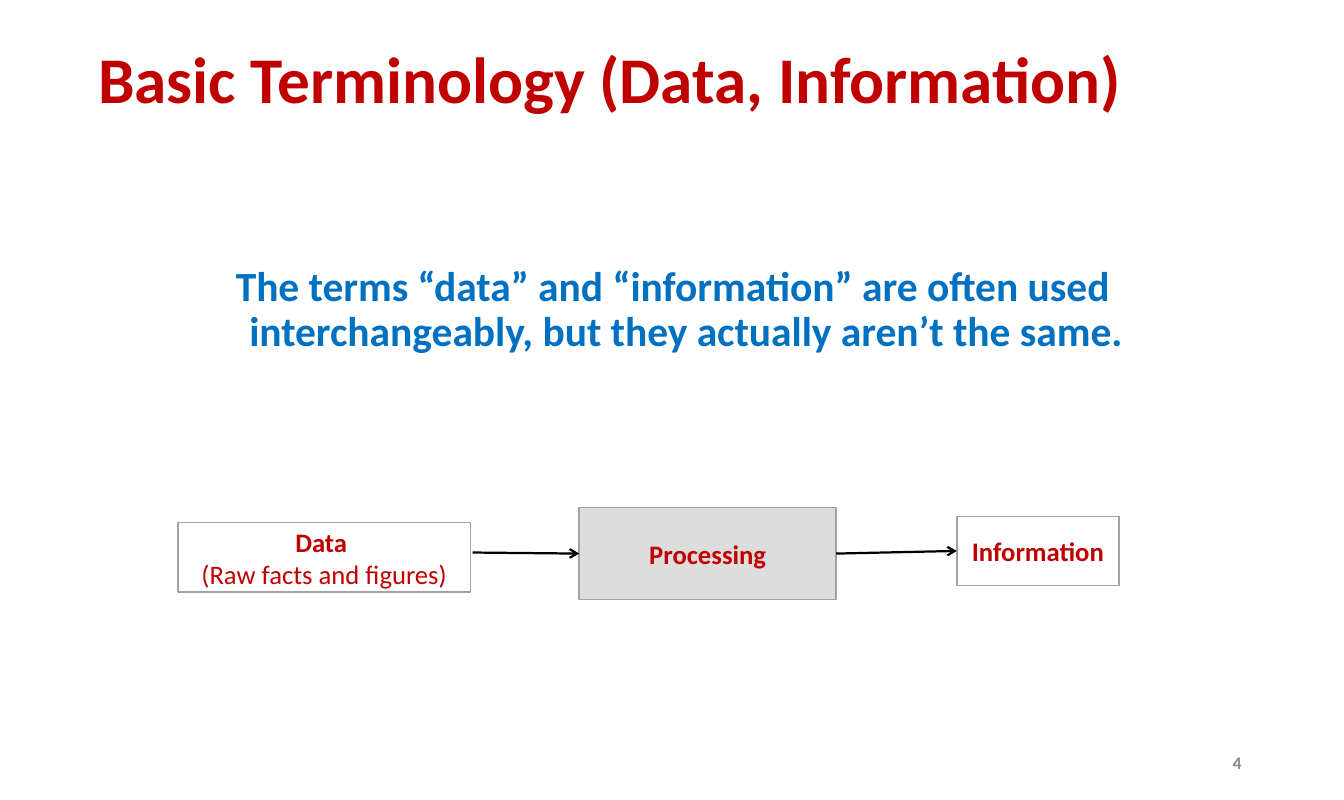
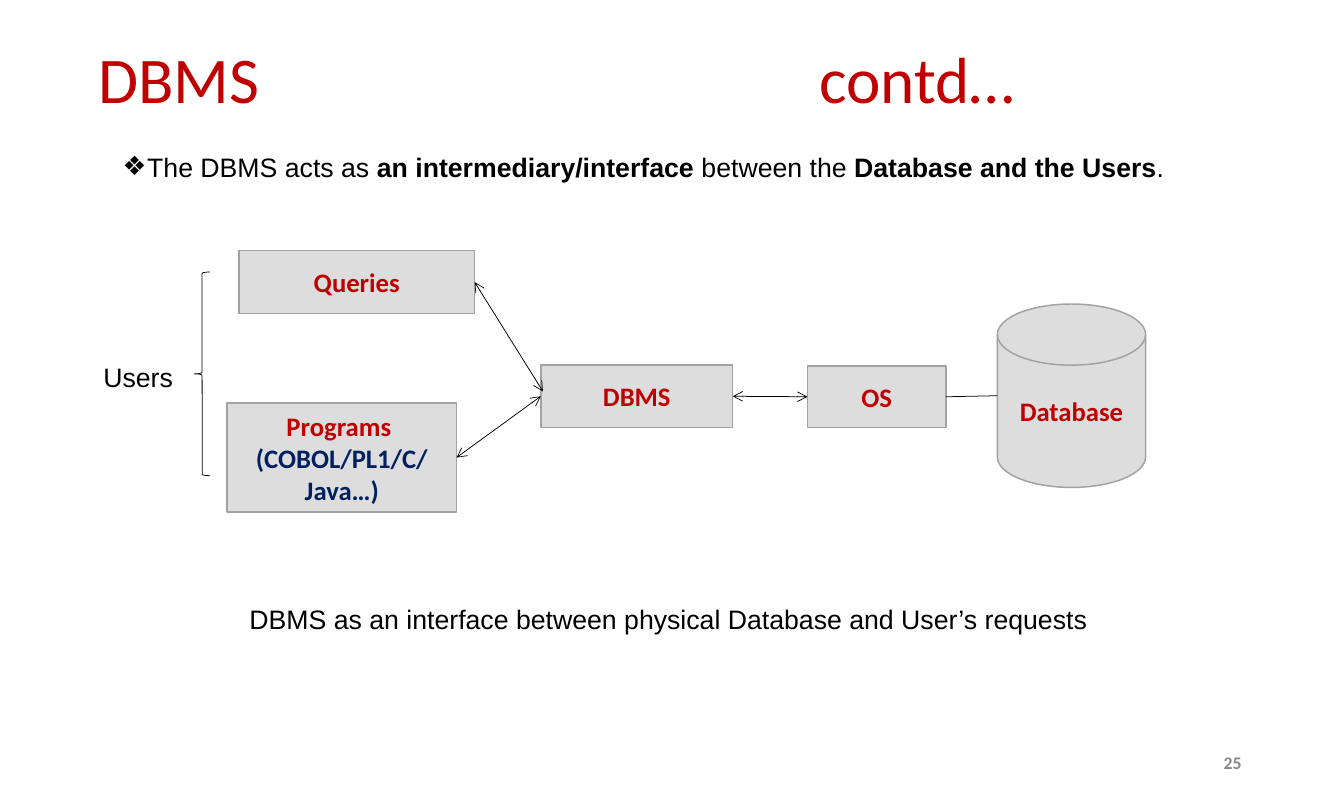
from lxml import etree
from pptx import Presentation
from pptx import util as u
from pptx.dml.color import RGBColor
from pptx.enum import shapes, text
from pptx.oxml import ns

PX = 9144  # 100 px to the inch
SLIDE_W, SLIDE_H = 1260, 750
COLORS = {"red": "C00000", "blue": "0070C0", "navy": "002060", "black": "000000",
          "gray": "898989", "fill": "DDDDDD", "edge": "A2A2A2"}
LEFT, CENTER = text.PP_ALIGN.LEFT, text.PP_ALIGN.CENTER
RIGHT, JUSTIFY = text.PP_ALIGN.RIGHT, text.PP_ALIGN.JUSTIFY
RECT = shapes.MSO_SHAPE.RECTANGLE
DISK = shapes.MSO_SHAPE.FLOWCHART_MAGNETIC_DISK

TITLE_AT, NUMBER_AT = (87, 40, 1087, 75), (1101, 695, 73, 40)
TITLE = {"name": "Calibri", "size": 44, "color": "red"}
STATEMENT = {"name": "Calibri", "size": 28, "color": "blue", "bold": True}
LABEL = {"name": "Calibri", "size": 18, "color": "red", "bold": True}
NOTE = {"name": "Arial", "size": 18, "color": "black", "bold": False}
NUMBER = {"name": "Calibri", "size": 12, "color": "gray", "bold": True}
BOLD, PLAIN, NAVY = {"bold": True}, {"bold": False}, {"color": "navy"}

# Paragraphs are lists of (text, format changes).
# Boxes: name -> (place, preset, fill, paragraphs).
# Links: (from, to, width, head, tail); an end is (box, side) or (x, y).
SLIDES = [
    {
        "title": "Basic Terminology (Data, Information)",
        "title_format": BOLD,
        "number": "4",
        "body": {
            "at": (87, 244, 1087, 155), "format": STATEMENT, "align": CENTER,
            "spacing": 0.9, "hang": 25, "bullet": None,
            "paras": [[("The terms “data” and “information” are often used "
                        "interchangeably, but they actually aren’t the same.", {})]],
        },
        "boxes": {
            "Processing": ((543, 476, 241, 86), RECT, "fill", [[("Processing", {})]]),
            "Data": ((167, 490, 274, 65), RECT, None,
                     [[("Data ", {})], [("(Raw facts and figures)", PLAIN)]]),
            "Information": ((897, 484, 152, 65), RECT, None, [[("Information", {})]]),
        },
        "links": [
            ((443, 518), ("Processing", 1), 1.5, False, True),
            (("Processing", 3), ("Information", 1), 1.5, False, True),
        ],
    },
    {
        "title": "DBMS\tcontd…",
        "title_format": PLAIN,
        "title_tab": 676,
        "number": "25",
        "body": {
            "at": (105, 136, 1002, 40), "format": NOTE, "align": JUSTIFY,
            "spacing": 1.0, "hang": 23, "bullet": "❖",
            "paras": [[("The DBMS acts as ", {}), ("an intermediary/interface ", BOLD),
                       ("between the ", {}), ("Database and the Users", BOLD), (".", {})]],
        },
        "boxes": {
            "Queries": ((224, 235, 221, 59), RECT, "fill", [[("Queries", {})]]),
            "DBMS": ((507, 342, 180, 59), RECT, "fill", [[("DBMS", {})]]),
            "Programs": ((213, 378, 215, 102), RECT, "fill",
                         [[("Programs ", {})], [("(COBOL/PL1/C/", NAVY)], [("Java…)", NAVY)]]),
            "OS": ((757, 343, 130, 58), RECT, "fill", [[("OS", {})]]),
            "Database": ((935, 285, 139, 172), DISK, "fill", [[("Database", {})]]),
        },
        "links": [
            (("Queries", 3), (509, 367), 0.5, True, True),
            (("Programs", 3), ("DBMS", 1), 0.5, True, True),
            (("DBMS", 3), ("OS", 1), 0.5, True, True),
            (("OS", 3), (935, 371), 0.5, False, False),
        ],
        "notes": [
            ((224, 560, 882, 40), True,
             "DBMS as an interface between physical Database and User’s requests"),
            ((87, 333, 85, 40), False, "Users"),
        ],
        "brace": (182, 255, 15, 191),
    },
]


def px(*values):
    return [u.Emu(v * PX) for v in values]


def rgb(name):
    return RGBColor.from_string(COLORS[name])


def place(sp, at):
    for name, value in zip(("left", "top", "width", "height"), px(*at)):
        setattr(sp, name, value)


def write(tf, paras, base, align, spacing=1.0, anchor=text.MSO_ANCHOR.MIDDLE, wrap=True):
    frame = {"auto_size": text.MSO_AUTO_SIZE.NONE, "word_wrap": wrap,
             "vertical_anchor": anchor}
    for name, value in frame.items():
        setattr(tf, name, value)
    for i, runs in enumerate(paras):
        p = tf.paragraphs[0] if i == 0 else tf.add_paragraph()
        p.alignment, p.line_spacing, p.space_before = align, spacing, u.Pt(0)
        for words, changes in runs:
            r = p.add_run()
            r.text = words
            fmt = {**base, **changes}
            r.font.color.rgb = rgb(fmt.pop("color"))
            fmt["size"] = u.Pt(fmt["size"])
            for name, value in fmt.items():
                setattr(r.font, name, value)


def add_xml(parent, tag, **attrs):
    return etree.SubElement(parent, ns.qn(tag), {k: str(v) for k, v in attrs.items()})


def set_hanging(p, hang, bullet):
    pPr = p._p.get_or_add_pPr()
    pPr.set("marL", str(hang * PX))
    pPr.set("indent", str(-hang * PX))
    if bullet:
        add_xml(add_xml(pPr, "a:buClr"), "a:srgbClr", val=COLORS["black"])
        add_xml(pPr, "a:buChar", char=bullet)
    else:
        add_xml(pPr, "a:buNone")


def add_title(s, data):
    sp = s.shapes.title
    place(sp, TITLE_AT)
    tf = sp.text_frame
    tf.margin_left = px(5)[0]
    write(tf, [[(data["title"], data["title_format"])]], TITLE, LEFT, 0.9)
    if "title_tab" in data:
        tabs = add_xml(tf.paragraphs[0]._p.get_or_add_pPr(), "a:tabLst")
        add_xml(tabs, "a:tab", pos=data["title_tab"] * PX, algn="l")


def add_body(s, body):
    sp = s.placeholders[1]
    place(sp, body["at"])
    write(sp.text_frame, body["paras"], body["format"], body["align"],
          body["spacing"], text.MSO_ANCHOR.TOP)
    for p in sp.text_frame.paragraphs:
        set_hanging(p, body["hang"], body["bullet"])


def add_outline(s, preset, at, fill, edge, width):
    sp = s.shapes.add_shape(preset, *px(*at))
    sp.shadow.inherit = False
    if fill:
        sp.fill.solid()
        sp.fill.fore_color.rgb = rgb(fill)
    else:
        sp.fill.background()
    sp.line.color.rgb, sp.line.width = rgb(edge), u.Pt(width)
    return sp


def add_link(s, boxes, start, end, width, head, tail):
    joined = [isinstance(e[0], str) for e in (start, end)]
    points = [(0, 0) if j else e for j, e in zip(joined, (start, end))]
    line = s.shapes.add_connector(shapes.MSO_CONNECTOR.STRAIGHT, *px(*points[0], *points[1]))
    for j, e, connect in zip(joined, (start, end), (line.begin_connect, line.end_connect)):
        if j:
            connect(boxes[e[0]], e[1])
    line.line.color.rgb, line.line.width = rgb("black"), u.Pt(width)
    ln = line.line._get_or_add_ln()
    for tag, shown in (("a:headEnd", head), ("a:tailEnd", tail)):
        if shown:
            add_xml(ln, tag, type="arrow")
    add_xml(line._element.spPr, "a:effectLst")


def add_text(s, at, words, fmt, align, **options):
    sp = s.shapes.add_textbox(*px(*at))
    write(sp.text_frame, [[(words, {})]], fmt, align, **options)


def build_slide(prs, data):
    s = prs.slides.add_slide(prs.slide_layouts[1])
    add_title(s, data)
    add_body(s, data["body"])
    boxes = {}
    for name, (at, preset, fill, paras) in data["boxes"].items():
        boxes[name] = add_outline(s, preset, at, fill, "edge", 1)
        write(boxes[name].text_frame, paras, LABEL, CENTER)
    for link in data["links"]:
        add_link(s, boxes, *link)
    for at, wrap, words in data.get("notes", []):
        add_text(s, at, words, NOTE, LEFT, anchor=text.MSO_ANCHOR.TOP, wrap=wrap)
    if "brace" in data:
        add_outline(s, shapes.MSO_SHAPE.LEFT_BRACE, data["brace"], None, "black", 0.5)
    add_text(s, NUMBER_AT, data["number"], NUMBER, RIGHT)


def main():
    prs = Presentation()
    prs.slide_width, prs.slide_height = px(SLIDE_W, SLIDE_H)
    for data in SLIDES:
        build_slide(prs, data)
    prs.save("out.pptx")


if __name__ == "__main__":
    main()
